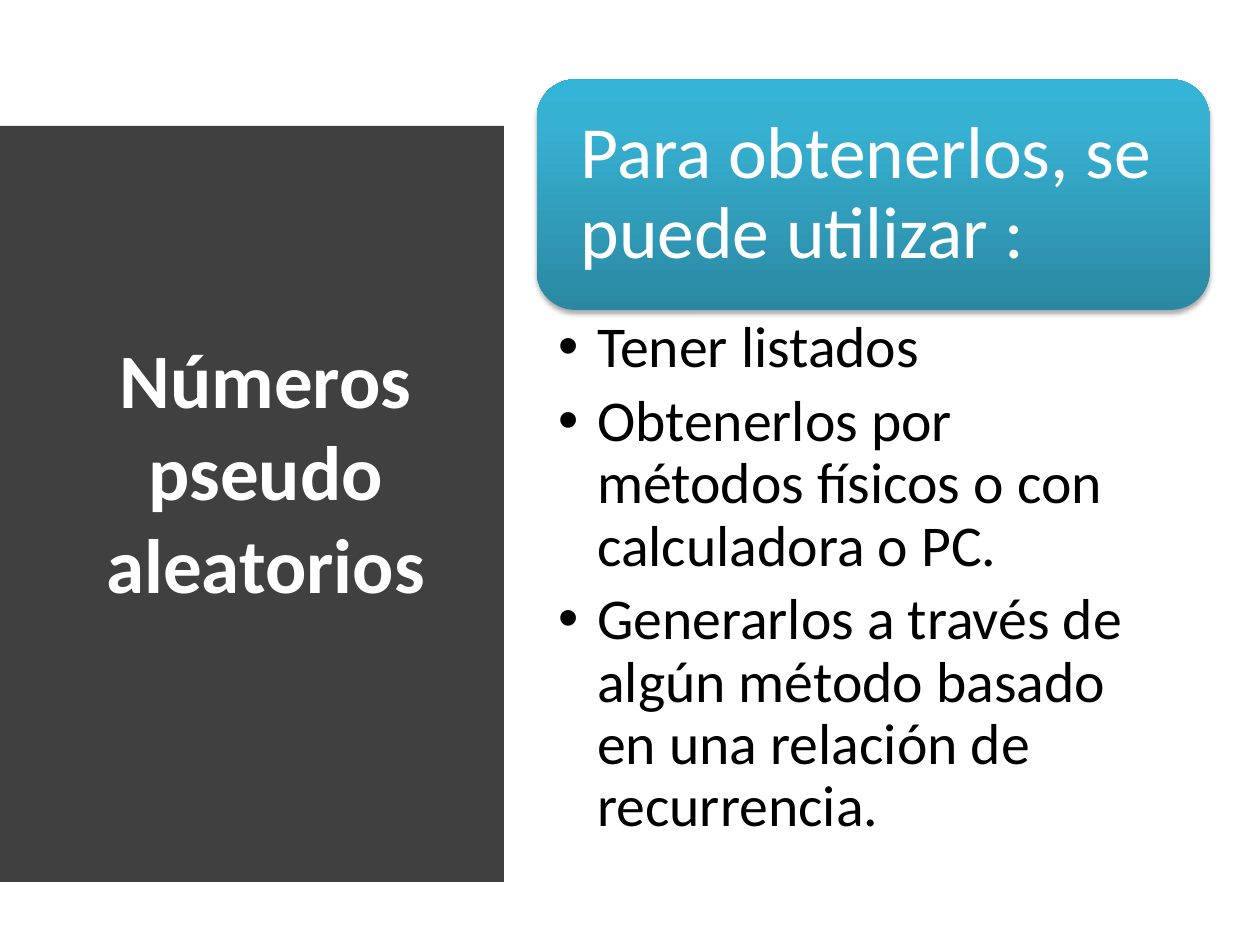
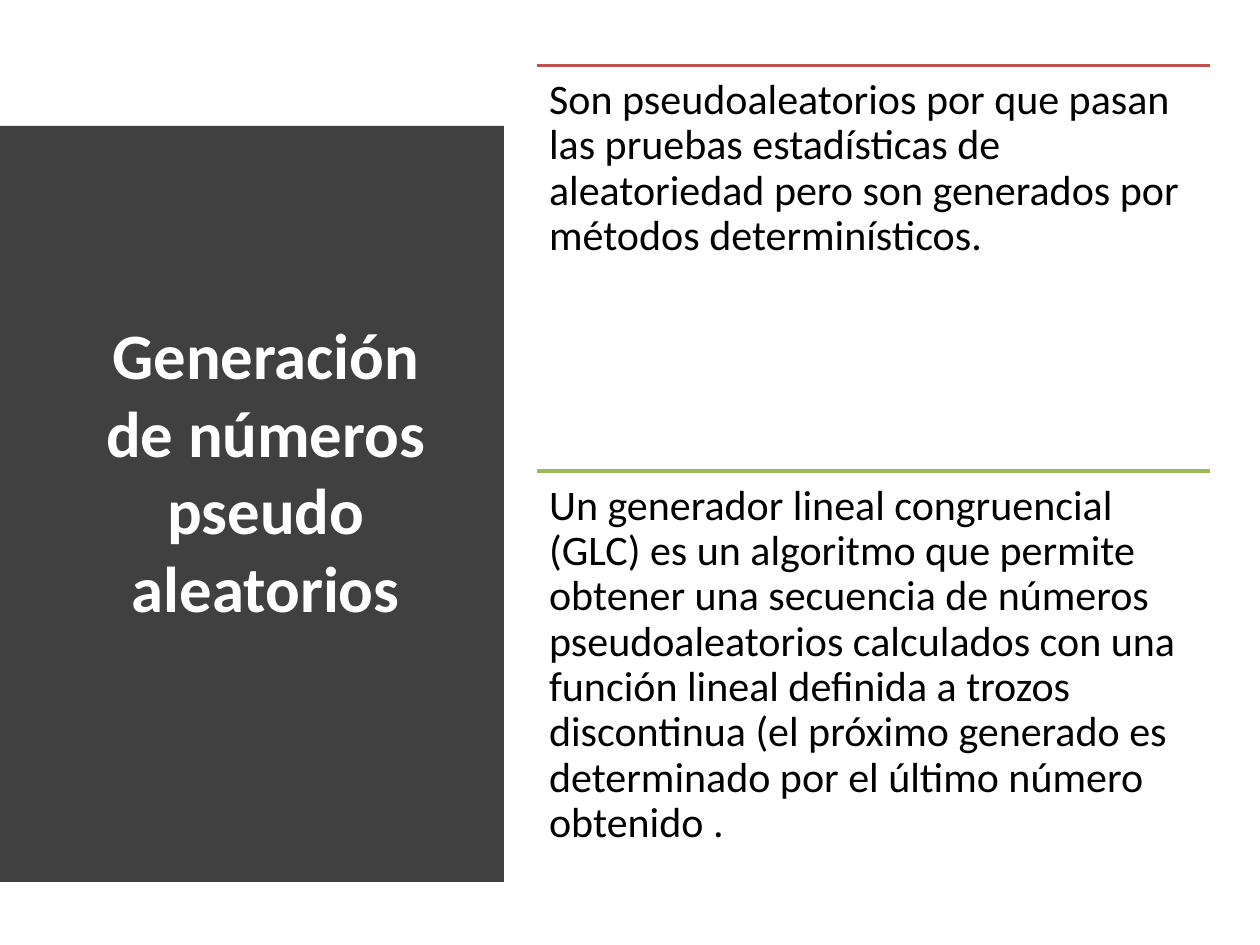
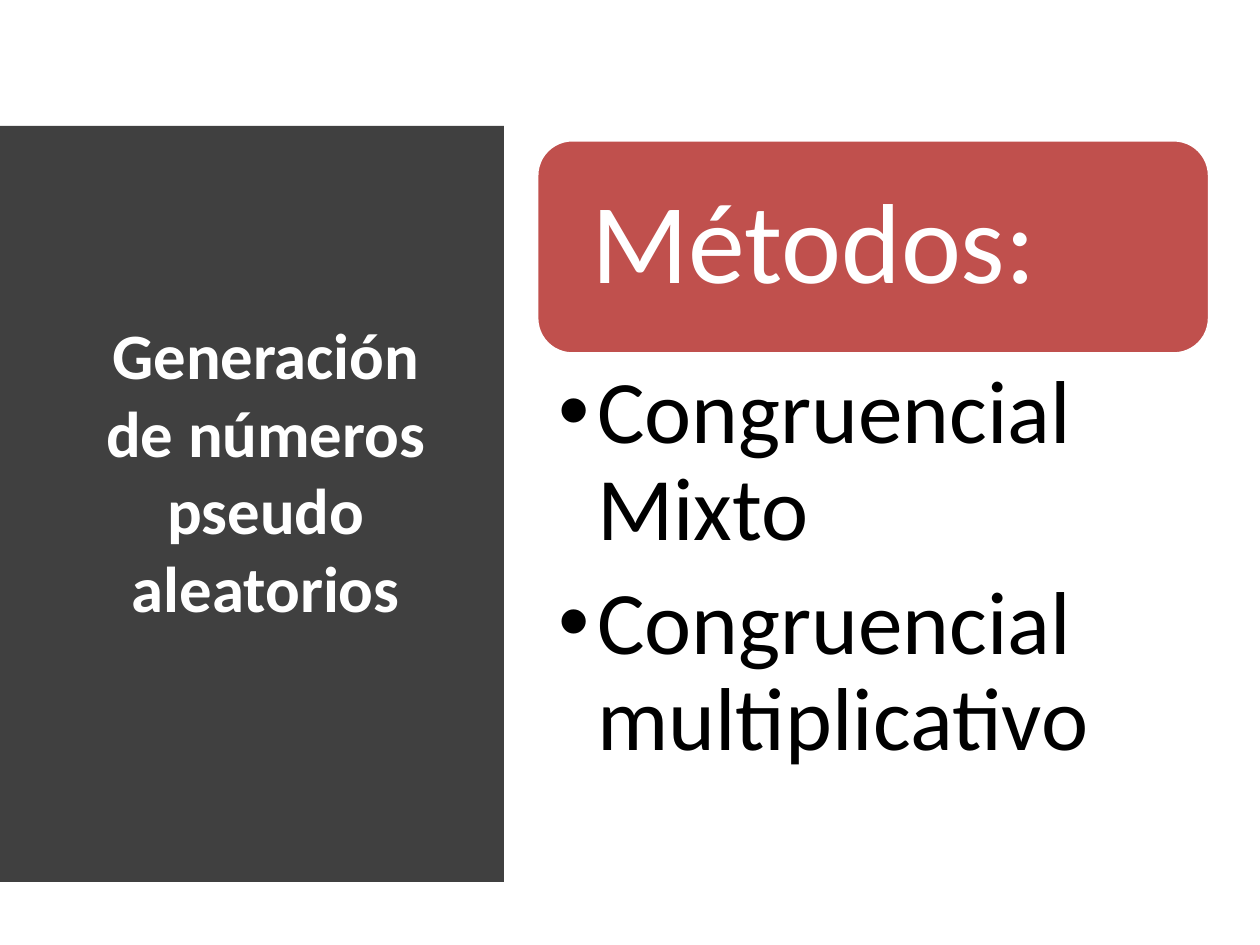
from copy import deepcopy

from lxml.etree import SubElement
from pptx import Presentation
from pptx.dml.color import RGBColor
from pptx.enum.shapes import MSO_CONNECTOR, MSO_SHAPE
from pptx.enum.text import MSO_ANCHOR, MSO_AUTO_SIZE, PP_ALIGN
from pptx.oxml.ns import qn
from pptx.util import Inches, Pt

# Content
PSEUDO = {
    "title": "Números pseudo aleatorios",
    "title_size": 44,
    "head": "Para obtenerlos, se puede utilizar :",
    "head_box": (0.63, 1.83),  # top, height
    "head_size": 42,
    "head_inset": 0.26,
    "items": [
        "Tener listados",
        "Obtenerlos por métodos físicos o con calculadora o PC.",
        "Generarlos a través de algún método basado en una relación de recurrencia.",
    ],
    "list_box": (2.46, 4.37),
    "list_size": 33,
    "list_insets": (0.17, 0.06, 0.33, 0.06),
}
GENERATION = {
    "title": "Generación de números pseudo aleatorios",
    "title_size": 37,
    "sections": [
        ("C0504D", "Son pseudoaleatorios por que pasan las pruebas estadísticas de "
                   "aleatoriedad pero son generados por métodos determinísticos."),
        ("9BBB59", "Un generador lineal congruencial (GLC) es un algoritmo que permite "
                   "obtener una secuencia de números pseudoaleatorios calculados con una "
                   "función lineal definida a trozos discontinua (el próximo generado es "
                   "determinado por el último número obtenido ."),
    ],
}
METHODS = {
    "title": GENERATION["title"],
    "title_size": 37,
    "head": "Métodos:",
    "head_box": (1.11, 1.7),
    "head_size": 65,
    "head_inset": 0.35,
    "items": ["Congruencial Mixto", "Congruencial multiplicativo"],
    "list_box": (2.82, 3.53),
    "list_size": 51,
    "list_insets": (0.17, 0.09, 0.51, 0.09),
}

# Shared look
FONT = "Calibri"
WHITE, BLACK, PANEL, RED = "FFFFFF", "000000", "404040", "C0504D"
HEAD_GRADIENT = [(0, "2A88A2"), (0.8, "37B1D2"), (1, "34B4D6")]
PANEL_LEFT, PANEL_RIGHT, PANEL_BULGE = 0.4, 3.81, 0.18
TOP, HEIGHT = 0.52, 6.44
LEFT, WIDTH = 4.26, 5.34
TITLE_BOX = (0.71, 1.11, 2.8, 5.24)
INDENT = 0.31
CURVE_STEPS = 40


def rgb(color):
    return RGBColor.from_string(color)


def place(shape, *box):
    shape.left, shape.top, shape.width, shape.height = map(Inches, box)


def write(frame, texts, size, color, insets, anchor=MSO_ANCHOR.TOP, spacing=0.9):
    """Fill a text frame with equally formatted paragraphs."""
    frame.word_wrap = True
    frame.auto_size = MSO_AUTO_SIZE.NONE
    frame.vertical_anchor = anchor
    (frame.margin_left, frame.margin_top,
     frame.margin_right, frame.margin_bottom) = map(Inches, insets)
    frame.text = "\n".join(texts)
    for paragraph in frame.paragraphs:
        paragraph.alignment = PP_ALIGN.LEFT
        paragraph.line_spacing = spacing
        paragraph.space_before = Pt(0)
        paragraph.font.name = FONT
        paragraph.font.size = Pt(size)
        paragraph.font.color.rgb = rgb(color)


def add_panel(slide):
    """Dark side panel whose right edge bulges as a parabola."""
    edge = []
    for step in range(CURVE_STEPS + 1):
        t = step / CURVE_STEPS
        edge.append((PANEL_RIGHT + PANEL_BULGE * 4 * t * (1 - t), TOP + HEIGHT * t))
    builder = slide.shapes.build_freeform(PANEL_LEFT, TOP, scale=Inches(1))
    builder.add_line_segments(edge + [(PANEL_LEFT, TOP + HEIGHT)], close=True)
    panel = builder.convert_to_shape()
    panel.shadow.inherit = False
    panel.fill.solid()
    panel.fill.fore_color.rgb = rgb(PANEL)
    panel.line.fill.background()
    slide.shapes._spTree.insert(2, panel._element)  # behind the title


def start_slide(deck, layout, content):
    slide = deck.slides.add_slide(deck.slide_layouts[layout])
    add_panel(slide)
    title = slide.shapes.title
    place(title, *TITLE_BOX)
    write(title.text_frame, [content["title"]], content["title_size"], WHITE,
          (0.1, 0.05, 0.1, 0.05), MSO_ANCHOR.MIDDLE, spacing=1)
    title.text_frame.paragraphs[0].alignment = PP_ALIGN.CENTER
    title.text_frame.paragraphs[0].font.bold = True
    return slide


def add_head_and_list(slide, content):
    # Rounded heading
    top, height = content["head_box"]
    head = slide.shapes.add_shape(MSO_SHAPE.ROUNDED_RECTANGLE,
                                  *map(Inches, (LEFT, top, WIDTH, height)))
    head.shadow.inherit = False
    write(head.text_frame, [content["head"]], content["head_size"], WHITE,
          [content["head_inset"]] * 4, MSO_ANCHOR.MIDDLE)

    # Bulleted list
    body = slide.placeholders[1]
    top, height = content["list_box"]
    place(body, LEFT, top, WIDTH, height)
    write(body.text_frame, content["items"], content["list_size"], BLACK,
          content["list_insets"])
    for paragraph in body.text_frame.paragraphs:
        paragraph.space_after = Pt(round(content["list_size"] * 0.2, 1))
        properties = paragraph._p.get_or_add_pPr()
        properties.set("marL", str(Inches(INDENT)))
        properties.set("indent", str(-Inches(INDENT)))
    return head


def fill_gradient(shape, colors):
    """Gradient running upwards, with one stop for each colour."""
    shape.fill.gradient()
    shape.fill.gradient_angle = 90
    stop_list = shape._element.spPr.find(qn("a:gradFill")).find(qn("a:gsLst"))
    while len(stop_list) < len(colors):
        stop_list.append(deepcopy(stop_list[-1]))
    for stop, (position, color) in zip(shape.fill.gradient_stops, colors):
        stop.position = position
        stop.color.rgb = rgb(color)


def add_soft_shadow(shape):
    effects = shape._element.spPr.find(qn("a:effectLst"))
    shadow = SubElement(effects, qn("a:outerShdw"), blurRad=str(Pt(3.1)),
                        dist=str(Pt(1.8)), dir="5400000", rotWithShape="0")
    color = SubElement(shadow, qn("a:srgbClr"), val=BLACK)
    SubElement(color, qn("a:alpha"), val="35000")


def add_sections(slide, sections):
    """Equal rows, each a coloured rule with text below it."""
    height = HEIGHT / len(sections)
    for row, (color, text) in enumerate(sections):
        top = TOP + row * height
        rule = slide.shapes.add_connector(
            MSO_CONNECTOR.STRAIGHT, *map(Inches, (LEFT, top, LEFT + WIDTH, top)))
        rule.line.color.rgb = rgb(color)
        rule.line.width = Pt(2)
        SubElement(rule._element.spPr, qn("a:effectLst"))
        section = slide.shapes.add_textbox(*map(Inches, (LEFT, top, WIDTH, height)))
        write(section.text_frame, [text], 24, BLACK, [0.1] * 4)


def main():
    deck = Presentation()
    deck.slide_width, deck.slide_height = Inches(10), Inches(7.5)

    # Ways to obtain the numbers
    slide = start_slide(deck, 1, PSEUDO)
    head = add_head_and_list(slide, PSEUDO)
    fill_gradient(head, HEAD_GRADIENT)
    head.line.fill.background()
    add_soft_shadow(head)

    # What generation means
    slide = start_slide(deck, 5, GENERATION)
    add_sections(slide, GENERATION["sections"])

    # Methods
    slide = start_slide(deck, 1, METHODS)
    head = add_head_and_list(slide, METHODS)
    head.fill.solid()
    head.fill.fore_color.rgb = rgb(RED)
    head.line.color.rgb = rgb(WHITE)
    head.line.width = Pt(2)

    deck.save("out.pptx")


if __name__ == "__main__":
    main()
